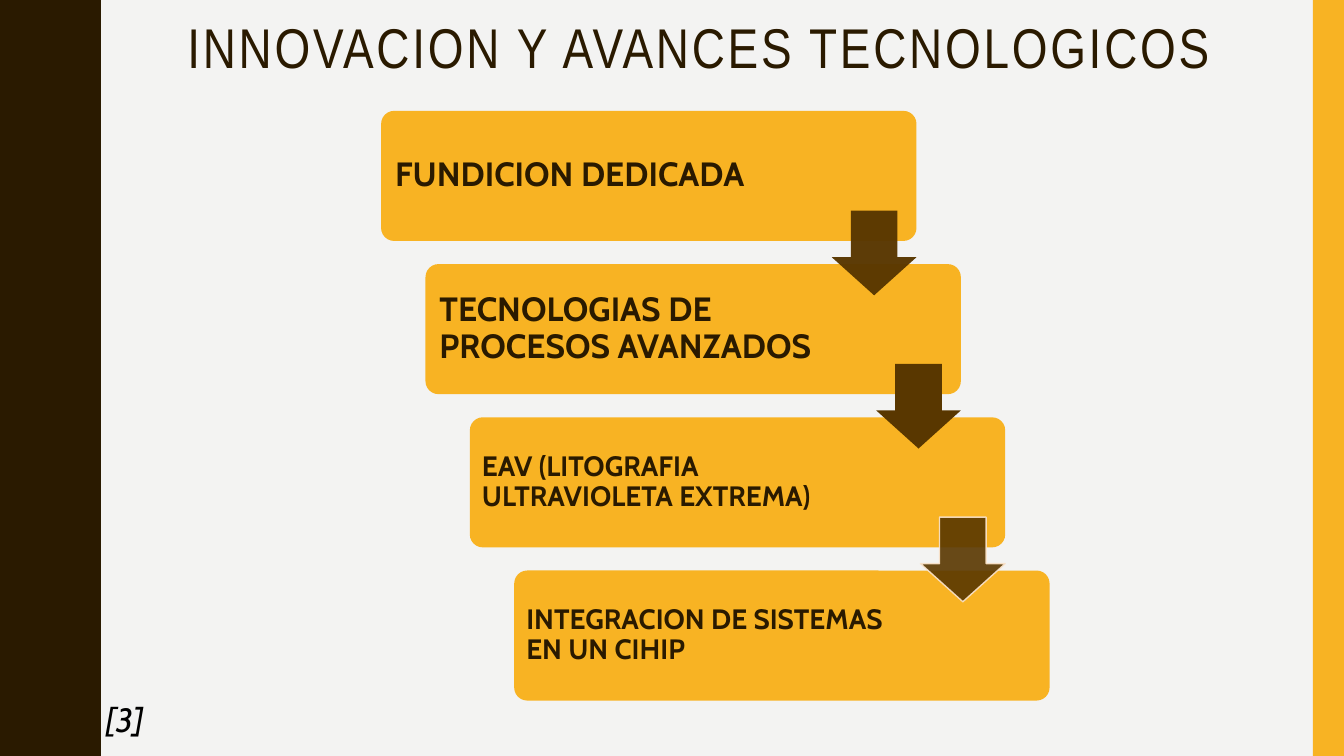
from lxml import etree
from pptx import Presentation
from pptx.dml.color import RGBColor
from pptx.enum import shapes, text
from pptx.oxml.ns import qn
from pptx.util import Inches, Pt

PAPER = RGBColor(0xF3, 0xF3, 0xF2)
DARK = RGBColor(0x2A, 0x1A, 0x00)
AMBER = RGBColor(0xF8, 0xB3, 0x23)
BROWN = RGBColor(0x59, 0x37, 0x00)
CREAM = RGBColor(0xFC, 0xE5, 0xCD)
BLACK = RGBColor(0, 0, 0)

presentation = Presentation()
presentation.slide_width = Inches(13.33)
presentation.slide_height = Inches(7.5)
slide = presentation.slides.add_slide(presentation.slide_layouts[6])
slide.background.fill.solid()
slide.background.fill.fore_color.rgb = PAPER


def paint(shape, color, opacity=100, outline=None):
    """Fill a shape; the optional outline shares its opacity in percent."""
    shape.shadow.inherit = False
    shape.fill.solid()
    shape.fill.fore_color.rgb = color
    if outline is None:
        shape.line.fill.background()
    else:
        shape.line.color.rgb = outline
        shape.line.width = Pt(1)
    if opacity < 100:
        for tint in shape._element.spPr.iter(qn("a:srgbClr")):
            etree.SubElement(tint, qn("a:alpha"), val=str(opacity * 1000))


def write(content, left, top, width, height, size, font="Cabin", color=DARK,
          bold=False, italic=False, align=text.PP_ALIGN.LEFT,
          anchor=text.MSO_ANCHOR.TOP, margins=(0.1, 0.05),
          line_spacing=1.0, space_after=0, tracking=0):
    """Add a text box; margins are (sides, top and bottom) in inches."""
    box = slide.shapes.add_textbox(Inches(left), Inches(top), Inches(width), Inches(height))
    frame = box.text_frame
    frame.word_wrap = True
    frame.vertical_anchor = anchor
    frame.margin_left = frame.margin_right = Inches(margins[0])
    frame.margin_top = frame.margin_bottom = Inches(margins[1])
    paragraph = frame.paragraphs[0]
    paragraph.alignment = align
    paragraph.line_spacing = line_spacing
    paragraph.space_after = Pt(space_after)
    run = paragraph.add_run()
    run.text = content
    run.font.name = font
    run.font.size = Pt(size)
    run.font.bold = bold
    run.font.italic = italic
    run.font.color.rgb = color
    if tracking:
        run.font._element.set("spc", str(tracking * 100))


# Wavy left band: each 1.5 inch wave swings out and mirrors back
WAVE = 1.5
swing = [(0.78, 0), (0.78, 0.07), (0.79, 0.14), (0.8, 0.2), (0.81, 0.25),
         (0.83, 0.29), (0.85, 0.33), (0.87, 0.38), (0.89, 0.42), (0.91, 0.46),
         (0.93, 0.5), (0.95, 0.55), (0.96, 0.61), (0.97, 0.68), (0.97, 0.75)]
wave = swing + [(x, WAVE - y) for x, y in reversed(swing[:-1])]
edge = [(x, y + number * WAVE) for number in range(5) for x, y in wave]
builder = slide.shapes.build_freeform(0, 0, scale=Inches(1))
builder.add_line_segments(edge + [(0, 7.5)], close=True)
paint(builder.convert_to_shape(), DARK)

right_band = slide.shapes.add_shape(
    shapes.MSO_SHAPE.RECTANGLE, Inches(13.02), 0, Inches(0.31), Inches(7.5))
paint(right_band, AMBER)

write("INNOVACION Y AVANCES TECNOLOGICOS", 1.37, 0.15, 11.13, 1.17, 40,
      font="Arial Narrow", align=text.PP_ALIGN.CENTER, line_spacing=0.9, tracking=2)

# Staircase of steps: text, size, text width, margin
STEP_X, STEP_Y = 0.44, 1.52
steps = [
    ("FUNDICION DEDICADA", 24, 3.81, 0.1),
    ("TECNOLOGIAS DE PROCESOS AVANZADOS", 24, 3.96, 0.1),
    ("EAV (LITOGRAFIA ULTRAVIOLETA EXTREMA)", 20, 3.96, 0.08),
    ("INTEGRACION DE SISTEMAS EN UN CIHIP", 20, 3.96, 0.08),
]
for index, (label, size, width, margin) in enumerate(steps):
    left, top = 3.78 + index * STEP_X, 1.1 + index * STEP_Y
    card = slide.shapes.add_shape(
        shapes.MSO_SHAPE.ROUNDED_RECTANGLE,
        Inches(left), Inches(top), Inches(5.31), Inches(1.29))
    card.adjustments[0] = 0.1
    paint(card, AMBER)
    write(label, left + 0.04, top + 0.04, width, 1.21, size, bold=True,
          anchor=text.MSO_ANCHOR.MIDDLE, margins=(margin, margin),
          line_spacing=0.9, space_after=6)

for index, (opacity, outline) in enumerate([(97, None), (100, None), (90, CREAM)]):
    arrow = slide.shapes.add_shape(
        shapes.MSO_SHAPE.DOWN_ARROW,
        Inches(8.25 + index * STEP_X), Inches(2.09 + index * STEP_Y),
        Inches(0.84), Inches(0.84))
    # python-pptx lists the head length first for this shape
    for guide, value in zip(("adj1", "adj2"), (0.55, 0.45)):
        names = [item.name for item in arrow.adjustments._adjustments]
        arrow.adjustments[names.index(guide)] = value
    paint(arrow, BROWN, opacity, outline)

write("[3]", -0.24, 6.88, 2.95, 0.5, 24, color=BLACK, italic=True,
      align=text.PP_ALIGN.CENTER)

presentation.save("out.pptx")
